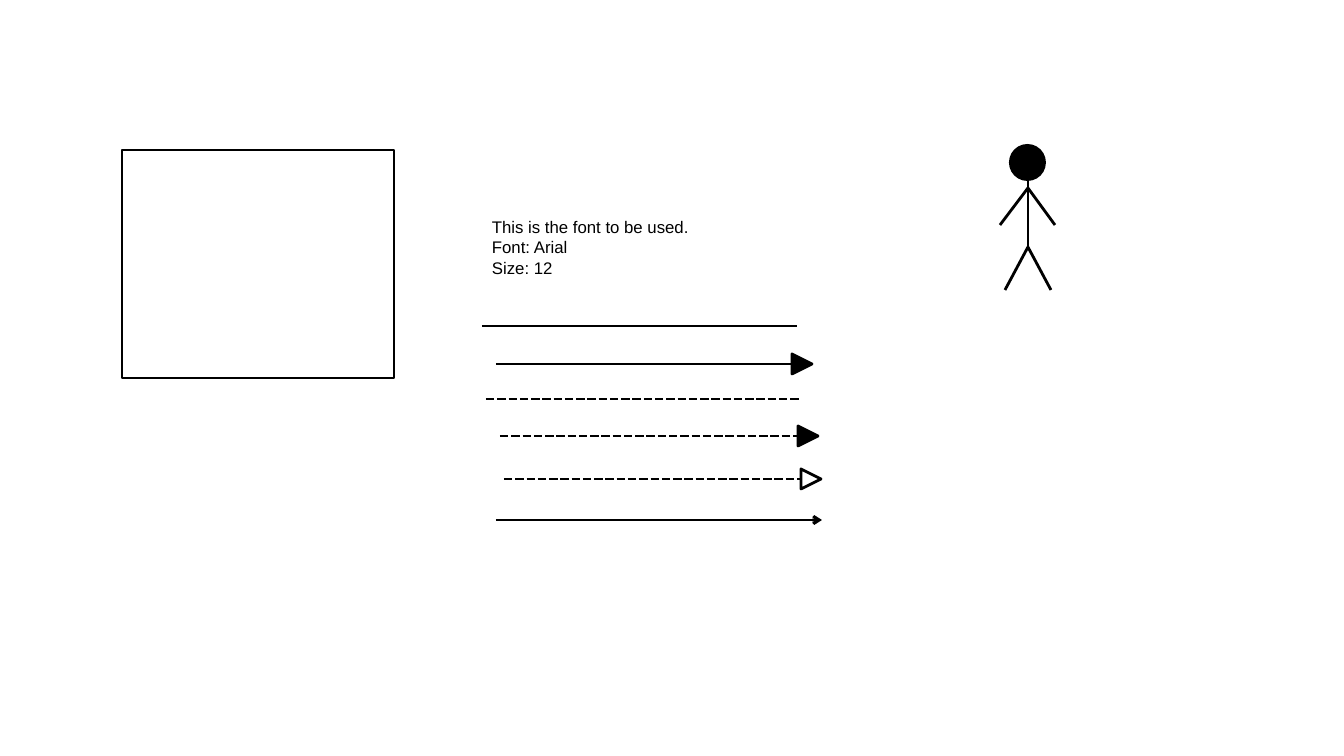
from lxml.etree import SubElement
from pptx import Presentation
from pptx.dml.color import RGBColor
from pptx.enum.dml import MSO_LINE
from pptx.enum.shapes import MSO_CONNECTOR, MSO_SHAPE
from pptx.enum.text import MSO_AUTO_SIZE
from pptx.oxml.ns import qn
from pptx.util import Pt

PX = 914400 / 100.8
BLACK = "000000"


def px(*values):
    return [round(v * PX) for v in values]


def color(target, value):
    target.rgb = RGBColor.from_string(value)


prs = Presentation()
prs.slide_width, prs.slide_height = px(1344, 756)
s = prs.slides.add_slide(prs.slide_layouts[6])

tf = s.shapes.add_textbox(*px(482, 212, 282, 72)).text_frame
tf.word_wrap = True
tf.auto_size = MSO_AUTO_SIZE.SHAPE_TO_FIT_TEXT
font_format = {"name": "Arial", "size": Pt(12)}
for i, line in enumerate(["This is the font to be used.", "Font: Arial", "Size: 12"]):
    p = tf.paragraphs[0] if i == 0 else tf.add_paragraph()
    r = p.add_run()
    r.text = line
    for key, value in font_format.items():
        setattr(r.font, key, value)
    color(r.font.color, BLACK)

neck, hip, shoulder = 1028, 247, 188
lines = [
    (482, 326, 797, 326, None, None),
    (496, 364, 792, 364, None, None),
    (486, 399, 801, 399, MSO_LINE.SQUARE_DOT, None),
    (500, 436, 797, 436, MSO_LINE.SQUARE_DOT, None),
    (504, 479, 801, 479, MSO_LINE.SQUARE_DOT, None),
    (496, 520, 822, 520, None, "arrow"),
    (neck, 175, neck, hip, None, None),
    (neck, hip, 1051, 290, None, None),
    (neck, hip, 1005, 290, None, None),
    (neck, shoulder, 1055, 225, None, None),
    (neck, shoulder, 1000, 225, None, None),
]
for x1, y1, x2, y2, dash, head in lines:
    c = s.shapes.add_connector(MSO_CONNECTOR.STRAIGHT, *px(x1, y1, x2, y2))
    c.line.width = Pt(2)
    color(c.line.fill.fore_color if c.line.fill.solid() else c.line.color, BLACK)
    if dash:
        c.line.dash_style = dash
    if head:
        SubElement(c.line._get_or_add_ln(), qn("a:tailEnd"), type=head)
    SubElement(c._element.spPr, qn("a:effectLst"))

shapes = [
    (MSO_SHAPE.RECTANGLE, 122, 150, 272, 228, 0, None, 2),
    (MSO_SHAPE.ISOSCELES_TRIANGLE, 801, 469, 20, 20, 90, None, 2),
    (MSO_SHAPE.ISOSCELES_TRIANGLE, 798, 426, 20, 20, 90, BLACK, 2),
    (MSO_SHAPE.ISOSCELES_TRIANGLE, 792, 354, 20, 20, 90, BLACK, 2),
    (MSO_SHAPE.OVAL, 1009, 144, 37, 37, 0, BLACK, 0),
]
for kind, x, y, w, h, turn, fill, width in shapes:
    sp = s.shapes.add_shape(kind, *px(x, y, w, h))
    sp.shadow.inherit = False
    sp.rotation = turn
    if fill:
        sp.fill.solid()
        color(sp.fill.fore_color, fill)
    else:
        sp.fill.background()
    if width:
        sp.line.width = Pt(width)
        color(sp.line.color, BLACK)
    else:
        sp.line.fill.background()

prs.save("out.pptx")
